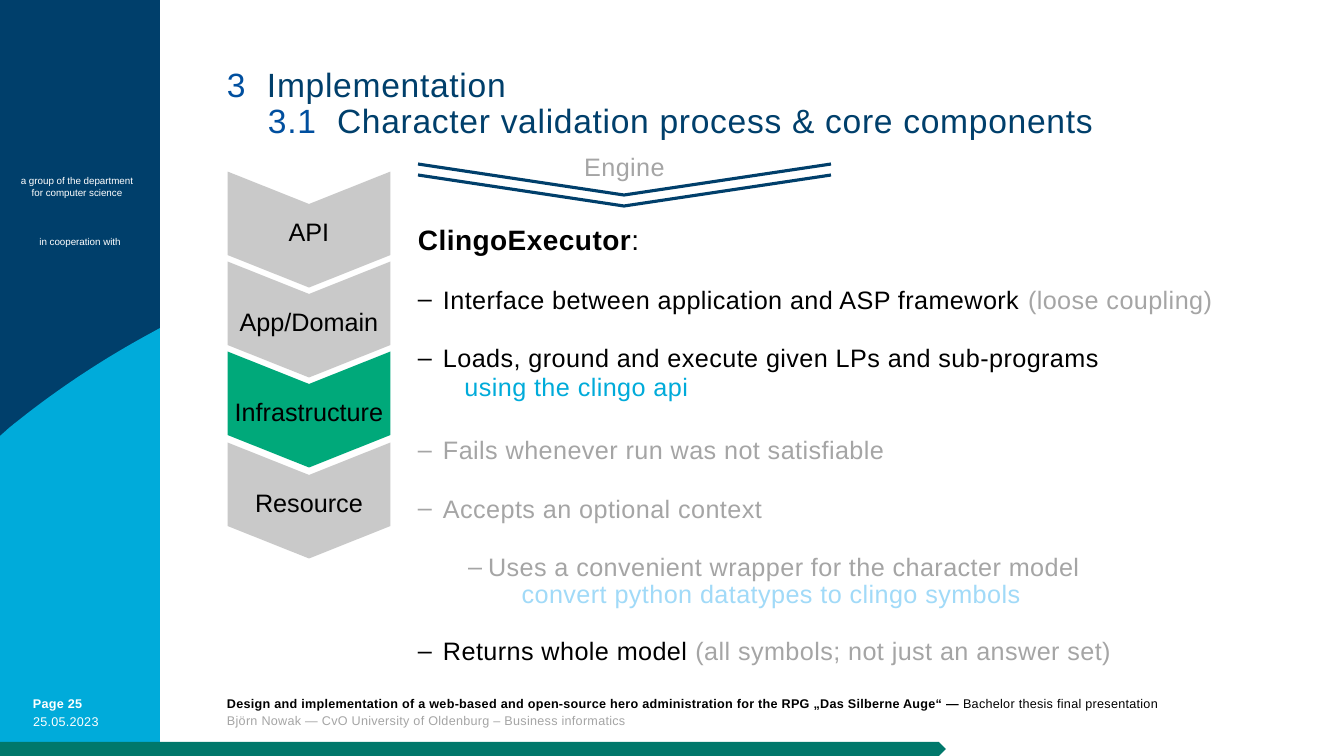
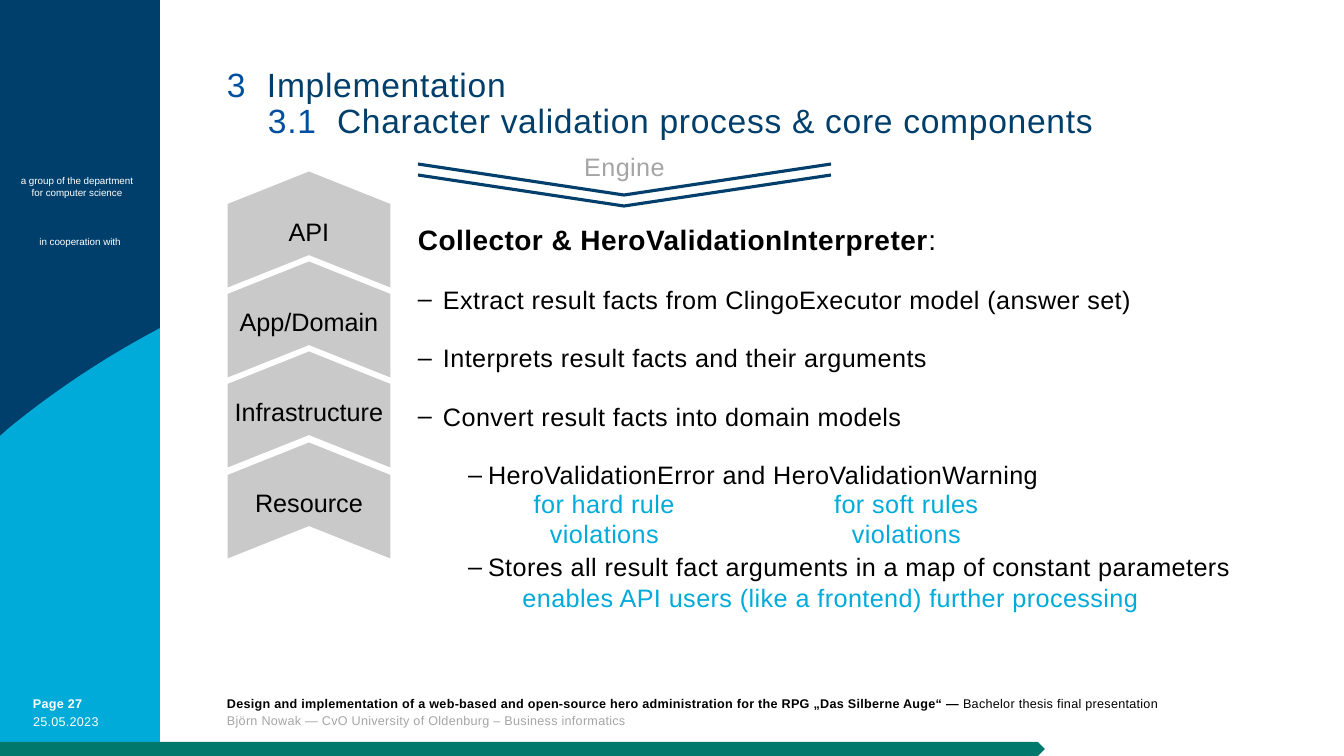
from dataclasses import dataclass

from lxml import etree
from pptx import Presentation
from pptx.dml.color import RGBColor
from pptx.enum.shapes import MSO_SHAPE
from pptx.enum.text import MSO_ANCHOR, MSO_AUTO_SIZE, PP_ALIGN
from pptx.oxml.ns import qn
from pptx.util import Emu, Pt

RECT, CHEVRON, PENTAGON = MSO_SHAPE.RECTANGLE, MSO_SHAPE.CHEVRON, MSO_SHAPE.PENTAGON
TOP, MIDDLE = MSO_ANCHOR.TOP, MSO_ANCHOR.MIDDLE
LEFT, CENTER = PP_ALIGN.LEFT, PP_ALIGN.CENTER
NO_FIT = MSO_AUTO_SIZE.NONE
EMU_PER_PX = 914400 / 100.8
SLIDE_W, SLIDE_H = 1344, 756


@dataclass(frozen=True)
class Theme:
    font: str = "Arial"
    navy: str = "003F6B"
    blue: str = "004F9F"
    cyan: str = "00ABDA"
    pale: str = "A1DAF8"
    green: str = "00A97A"
    teal: str = "00786B"
    silver: str = "C9C9C9"
    grey: str = "A5A5A5"
    black: str = "000000"
    white: str = "FFFFFF"
    title: int = 24
    heading: int = 20
    body: int = 18
    footer: int = 9
    credit: int = 7


T = Theme()


@dataclass(frozen=True)
class Span:
    text: str
    color: str = T.black
    bold: bool = False


@dataclass(frozen=True)
class Bullet:
    spans: tuple[Span, ...]
    level: int = 0
    after: int = 18


@dataclass(frozen=True)
class Note:
    text: str
    box: tuple[int, int, int, int]
    color: str = T.cyan


@dataclass(frozen=True)
class Page:
    number: int
    progress: int
    rotation: int
    active: str
    heading: str
    bullets: tuple[Bullet, ...]
    notes: tuple[Note, ...]


# Shared content
LAYERS = ("API", "App/Domain", "Infrastructure", "Resource")
TITLE = (("3", "Implementation", 40, 40),
         ("3.1", "Character validation process & core components", 110, 69))
FOOTER = (
    (Span("Design and implementation of a web-based and open-source hero "
          "administration for the RPG „Das Silberne Auge“ — ", bold=True),
     Span("Bachelor thesis final presentation")),
    (Span("Björn Nowak — CvO University of Oldenburg – Business informatics", T.grey),),
)
ENGINE = Note("Engine", (418, 151, 413, 32), T.grey)

# Page content
PAGES = (
    Page(25, 946, 90, "Infrastructure", "ClingoExecutor", (
        Bullet((Span("Interface between application and ASP framework "),
                Span("(loose coupling)", T.grey))),
        Bullet((Span("Loads, ground and execute given LPs and sub-programs"),), after=42),
        Bullet((Span("Fails whenever run was not satisfiable", T.grey),)),
        Bullet((Span("Accepts an optional context", T.grey),)),
        Bullet((Span("Uses a convenient wrapper for the character model", T.grey),), 1, 36),
        Bullet((Span("Returns whole model "),
                Span("(all symbols; not just an answer set)", T.grey))),
    ), (
        Note("using the clingo api", (434, 371, 285, 38)),
        Note("convert python datatypes to clingo symbols", (480, 578, 583, 38), T.pale),
    )),
    Page(27, 1045, 270, "", "Collector & HeroValidationInterpreter", (
        Bullet((Span("Extract result facts from ClingoExecutor model (answer set)"),)),
        Bullet((Span("Interprets result facts and their arguments"),)),
        Bullet((Span("Convert result facts into domain models"),)),
        Bullet((Span("HeroValidationError and HeroValidationWarning"),), 1, 42),
        Bullet((Span("Stores all result fact arguments in a map of constant parameters"),), 1),
    ), (
        Note("for hard rule violations", (497, 488, 215, 72)),
        Note("for soft rules violations", (799, 488, 215, 72)),
        Note("enables API users (like a frontend) further processing", (462, 582, 738, 36)),
    )),
)


# Helpers
def px(n: float) -> Emu:
    return Emu(round(n * EMU_PER_PX))


def rgb(color: str) -> RGBColor:
    return RGBColor.from_string(color)


def place(sp, x: int, y: int, w: int, h: int) -> None:
    sp.left, sp.top, sp.width, sp.height = px(x), px(y), px(w), px(h)


def style_run(r, size: int, color: str, bold: bool, spacing: int) -> None:
    r.font.name, r.font.size, r.font.bold = T.font, Pt(size), bold
    r.font.color.rgb = rgb(color)
    if spacing:
        r._r.get_or_add_rPr().set("spc", str(spacing))


def add_spans(p, spans: tuple[Span, ...], size: int, spacing: int) -> None:
    for span in spans:
        r = p.add_run()
        r.text = span.text
        style_run(r, size, span.color, span.bold, spacing)


def set_indent(p, margin: int, hanging: int, bullet: str = "") -> None:
    pPr = p._p.get_or_add_pPr()
    pPr.set("marL", str(px(margin)))
    pPr.set("indent", str(px(-hanging)))
    if bullet:
        etree.SubElement(pPr, qn("a:buChar")).set("char", bullet)
    else:
        etree.SubElement(pPr, qn("a:buNone"))


def prepare_frame(tf, anchor=TOP, wrap: bool = True) -> None:
    tf.auto_size, tf.word_wrap, tf.vertical_anchor = NO_FIT, wrap, anchor
    tf.margin_left = tf.margin_right = tf.margin_top = tf.margin_bottom = 0


def add_text(s, text: str, box: tuple[int, int, int, int], size: int, color: str,
             align=CENTER, anchor=TOP, bold: bool = False, spacing: int = 0,
             line=None) -> None:
    tf = s.shapes.add_textbox(*map(px, box)).text_frame
    prepare_frame(tf, anchor)
    tf.text = text
    p = tf.paragraphs[0]
    p.alignment, p.line_spacing = align, line
    for r in p.runs:
        style_run(r, size, color, bold, spacing)


def paint(sp, color: str) -> None:
    sp.shadow.inherit = False
    sp.fill.solid()
    sp.fill.fore_color.rgb = rgb(color)
    sp.line.fill.background()


def add_block(s, kind, x: int, y: int, w: int, h: int, color: str):
    sp = s.shapes.add_shape(kind, px(x), px(y), px(w), px(h))
    paint(sp, color)
    return sp


def add_outline(s, points: list[tuple[float, float]], close: bool):
    corners = [(px(x), px(y)) for x, y in points]
    builder = s.shapes.build_freeform(*corners[0])
    builder.add_line_segments(corners[1:], close=close)
    return builder.convert_to_shape()


def bezier(a, b, c, d, steps: int = 24) -> list[tuple[float, float]]:
    def at(t: float, i: int) -> float:
        u = 1 - t
        return u**3 * a[i] + 3 * u * u * t * b[i] + 3 * u * t * t * c[i] + t**3 * d[i]
    return [(at(n / steps, 0), at(n / steps, 1)) for n in range(steps + 1)]


# Slide parts
def draw_sidebar(s, page: Page) -> None:
    add_block(s, RECT, 0, 0, 160, SLIDE_H, T.navy)
    curve = bezier((9, 428), (53, 392), (101, 360), (151, 333))
    wave = [(160, 328), (160, SLIDE_H), (0, SLIDE_H), (0, 436)] + curve
    paint(add_outline(s, wave, True), T.cyan)
    add_text(s, "a group of the department\vfor computer science",
             (-3, 175, 160, 24), T.credit, T.white)
    add_text(s, "in cooperation with", (0, 236, 160, 12), T.credit, T.white)
    add_text(s, f"Page {page.number}", (33, 694, 115, 17), T.footer, T.white,
             LEFT, bold=True, spacing=20, line=Pt(12))
    add_text(s, "25.05.2023", (33, 712, 99, 23), T.footer, T.white,
             LEFT, spacing=20, line=Pt(12))


def draw_footer(s, page: Page) -> None:
    tf = s.shapes.add_textbox(px(227), px(694), px(949), px(40)).text_frame
    prepare_frame(tf, wrap=False)
    for i, spans in enumerate(FOOTER):
        p = tf.add_paragraph() if i else tf.paragraphs[0]
        p.line_spacing = Pt(12)
        add_spans(p, spans, T.footer, 20)
    add_block(s, PENTAGON, 0, 742, page.progress, 14, T.teal)


def fill_title(s) -> None:
    sp = s.shapes.title
    place(sp, 227, 68, 949, 84)
    tf = sp.text_frame
    prepare_frame(tf)
    for i, (number, text, margin, hanging) in enumerate(TITLE):
        p = tf.add_paragraph() if i else tf.paragraphs[0]
        set_indent(p, margin, hanging)
        p.alignment, p.line_spacing, p.space_before = LEFT, 0.9, Pt(0)
        add_spans(p, (Span(number + "\t", T.blue), Span(text, T.navy)), T.title, 50)


def fill_body(s, page: Page) -> None:
    sp = s.placeholders[1]
    place(sp, 418, 219, 857, 450)
    tf = sp.text_frame
    prepare_frame(tf)
    p = tf.paragraphs[0]
    set_indent(p, 0, 0)
    p.line_spacing, p.space_before, p.space_after = 1.1, Pt(0), Pt(18)
    add_spans(p, (Span(page.heading, bold=True), Span(":")), T.heading, 30)
    for bullet in page.bullets:
        p = tf.add_paragraph()
        p.level = bullet.level
        set_indent(p, *((70, 20) if bullet.level else (25, 25)), "‒")
        p.line_spacing, p.space_before, p.space_after = 1.1, Pt(0), Pt(bullet.after)
        add_spans(p, bullet.spans, T.body, 30)


def draw_layers(s, page: Page) -> None:
    offsets = [271 * i // 3 for i in range(len(LAYERS))]
    for layer, offset in zip(LAYERS, offsets):
        color = T.green if layer == page.active else T.silver
        sp = add_block(s, CHEVRON, 251, 148 + offset, 116, 163, color)
        sp.adjustments[0] = 0.28
        sp.rotation = page.rotation
    for layer, offset in zip(LAYERS, offsets):
        add_text(s, layer, (224, 211 + offset, 170, 40), T.body, T.black, anchor=MIDDLE)


def draw_engine(s) -> None:
    for y in (164, 175):
        sp = add_outline(s, [(418, y), (624, y + 31), (831, y)], False)
        sp.shadow.inherit = False
        sp.fill.background()
        sp.line.color.rgb = rgb(T.navy)
        sp.line.width = Pt(2.25)


def build_page(prs, page: Page) -> None:
    s = prs.slides.add_slide(prs.slide_layouts[1])
    draw_sidebar(s, page)
    draw_footer(s, page)
    fill_title(s)
    fill_body(s, page)
    draw_layers(s, page)
    draw_engine(s)
    for note in (ENGINE, *page.notes):
        add_text(s, note.text, note.box, T.body, note.color, spacing=30)


def main() -> None:
    prs = Presentation()
    prs.slide_width, prs.slide_height = px(SLIDE_W), px(SLIDE_H)
    for page in PAGES:
        build_page(prs, page)
    prs.save("out.pptx")


if __name__ == "__main__":
    main()
